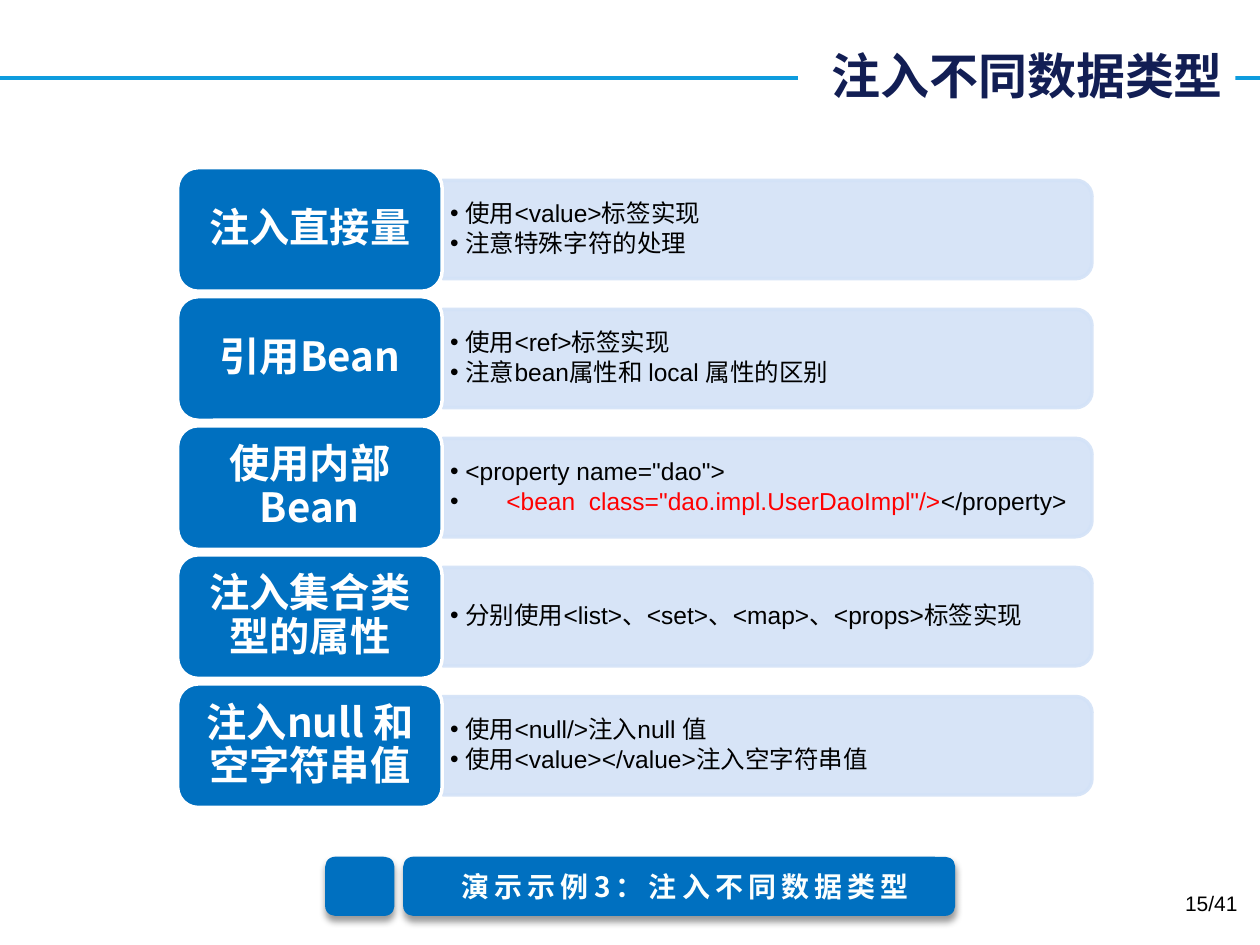
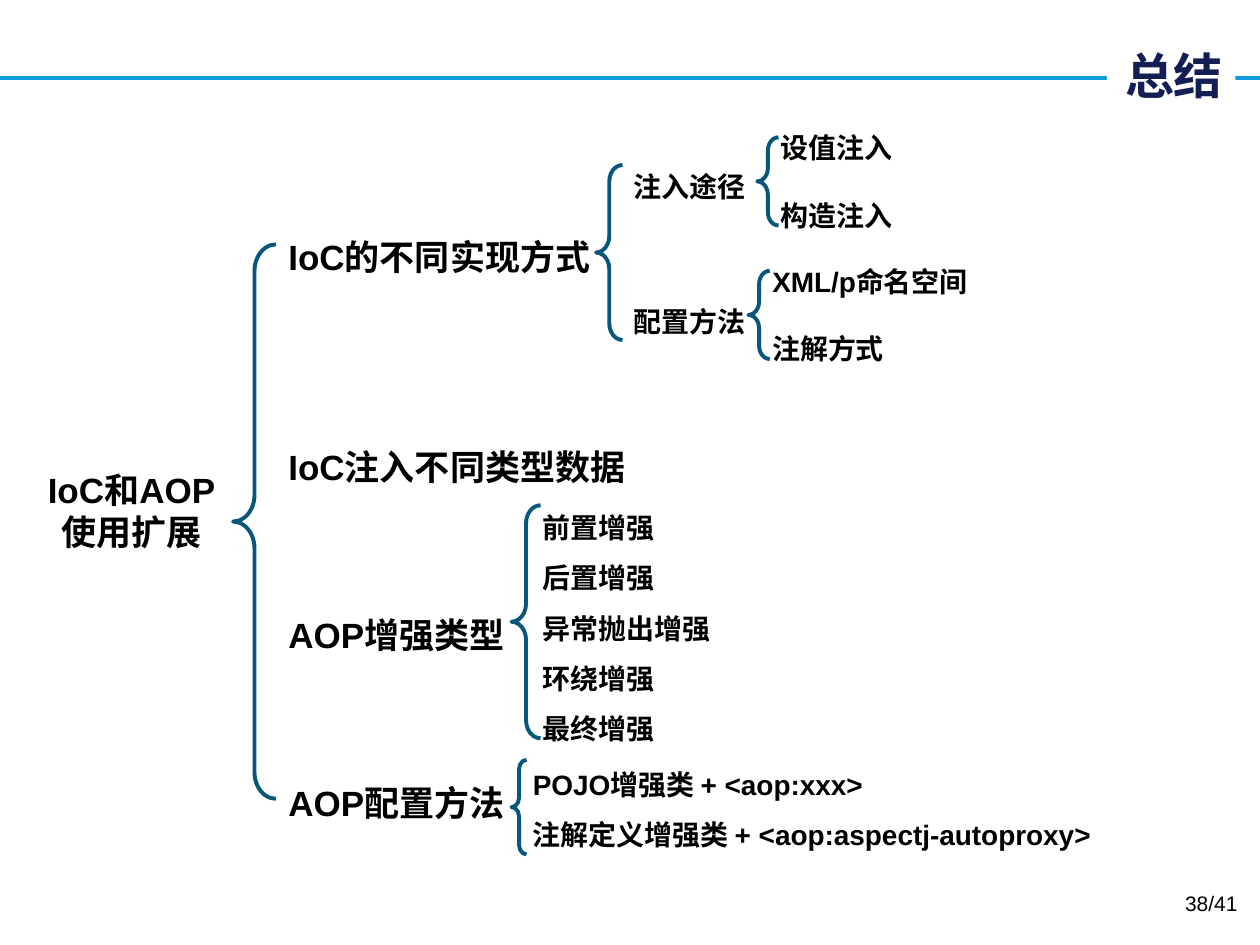
from dataclasses import dataclass

from lxml.etree import SubElement
from pptx import Presentation
from pptx.dml.color import RGBColor
from pptx.enum.shapes import MSO_CONNECTOR as Connector
from pptx.enum.shapes import MSO_SHAPE as Preset
from pptx.enum.text import MSO_ANCHOR as Anchor
from pptx.enum.text import MSO_AUTO_SIZE as AutoSize
from pptx.enum.text import PP_ALIGN as Align
from pptx.oxml.ns import qn
from pptx.util import Pt

COLORS = {
    "white": "FFFFFF", "black": "000000", "red": "FF0000", "rule": "0E9CDE",
    "title": "121E54", "blue": "0070C0", "pale": "D3E2F7", "banner": "FBFFFE",
    "brace": "08577A",
}
HEAD_FONT = "Noto Sans CJK SC"
BODY_FONT = "Arial"
TITLE_RIGHT = 706
LABEL_LEFT, LABEL_TOP, LABEL_WIDTH, LABEL_HEIGHT = 101.5, 95.8, 151.2, 70.6
ROW_PITCH = 73.75
BAR_LEFT, BAR_WIDTH, BAR_HEIGHT = 253, 371, 56.2
BANNER_TOP, BANNER_HEIGHT = 489.6, 33.8


@dataclass(frozen=True)
class Area:
    left: float
    top: float
    width: float
    height: float

    def lengths(self) -> tuple:
        return Pt(self.left), Pt(self.top), Pt(self.width), Pt(self.height)


@dataclass(frozen=True)
class Topic:
    label: str
    points: tuple


@dataclass(frozen=True)
class Branch:
    area: Area
    lines: tuple
    size: float = 16
    gaps: tuple = ()
    spacing: float = 1
    align: Align = Align.LEFT


TOPICS = (
    Topic("注入直接量", ("使用<value>标签实现", "注意特殊字符的处理")),
    Topic("引用Bean", ("使用<ref>标签实现", "注意bean属性和 local 属性的区别")),
    Topic("使用内部Bean", (
        '<property name="dao">',
        (("      ", "black"),
         ('<bean  class="dao.impl.UserDaoImpl"/>', "red"),
         ("</property>", "black")),
    )),
    Topic("注入集合类型的属性", ("分别使用<list>、<set>、<map>、<props>标签实现",)),
    Topic("注入null 和空字符串值", (
        "使用<null/>注入null 值", "使用<value></value>注入空字符串值")),
)

BRANCHES = (
    Branch(Area(11.5, 264.2, 127.4, 55.4), ("IoC和AOP使用扩展",), 20, align=Align.CENTER),
    Branch(Area(157.7, 131, 394.6, 346),
           ("IoC的不同实现方式", "IoC注入不同类型数据", "AOP增强类型", "AOP配置方法"),
           20, gaps=(0, 96, 72, 72)),
    Branch(Area(355, 93.6, 314.6, 104.4), ("注入途径", "配置方法"), gaps=(0, 57.6)),
    Branch(Area(439.2, 71.3, 100, 65.5), ("设值注入", "构造注入"), gaps=(0, 19.2)),
    Branch(Area(434.2, 147.6, 135.4, 65.5), ("XML/p命名空间", "注解方式"), gaps=(0, 19.2)),
    Branch(Area(303.1, 278.6, 328.3, 149),
           ("前置增强", "后置增强", "异常抛出增强", "环绕增强", "最终增强"), spacing=1.5),
    Branch(Area(297.4, 425.5, 380.2, 65.5),
           ("POJO增强类 + <aop:xxx>", "注解定义增强类 + <aop:aspectj-autoproxy>"), spacing=1.5),
)

BRACES = (
    Area(133.2, 139.7, 24.5, 316.8),
    Area(340.6, 94.3, 15.1, 100),
    Area(432.7, 78.5, 12.2, 50.4),
    Area(427.7, 154.8, 12.2, 50.4),
    Area(292.3, 288.7, 16.6, 133.2),
    Area(292.3, 434.2, 8.6, 54),
)


def color(name: str) -> RGBColor:
    return RGBColor.from_string(COLORS[name])


def add_bullet(para) -> None:
    properties = para._p.get_or_add_pPr()
    properties.set("marL", str(Pt(8.64)))
    properties.set("indent", str(-Pt(8.64)))
    SubElement(properties, qn("a:buFont"), typeface="Arial")
    SubElement(properties, qn("a:buChar"), char="•")


def write(frame, lines, *, size, font=BODY_FONT, tint="black", bold=False,
          align=Align.LEFT, anchor=Anchor.TOP, spacing=1, after=0, gaps=(),
          bullet=False, tracking=0, wrap=True) -> None:
    frame.word_wrap = wrap
    frame.auto_size = AutoSize.NONE
    frame.vertical_anchor = anchor
    for index, line in enumerate(lines):
        para = frame.add_paragraph() if index else frame.paragraphs[0]
        if bullet:
            add_bullet(para)
        para.alignment = align
        para.line_spacing = spacing
        para.space_before = Pt(gaps[index] if gaps else 0)
        para.space_after = Pt(after)
        spans = ((line, tint),) if isinstance(line, str) else line
        for text, span_tint in spans:
            span = para.add_run()
            span.text = text
            span.font.size = Pt(size)
            span.font.bold = bold
            span.font.name = font
            span.font.color.rgb = color(span_tint)
            properties = span._r.get_or_add_rPr()
            SubElement(properties, qn("a:ea"), typeface=HEAD_FONT)
            if tracking:
                properties.set("spc", str(tracking * 100))


def add_text(page, area: Area, lines, **text_format):
    box = page.shapes.add_textbox(*area.lengths())
    write(box.text_frame, lines, **text_format)
    return box


def add_block(page, preset, area: Area, fill=None, line=None, weight=2):
    block = page.shapes.add_shape(preset, *area.lengths())
    block.shadow.inherit = False
    if fill:
        block.fill.solid()
        block.fill.fore_color.rgb = color(fill)
    else:
        block.fill.background()
    if line:
        block.line.color.rgb = color(line)
        block.line.width = Pt(weight)
    else:
        block.line.fill.background()
    return block


def add_page(deck, title: str, title_width: float, number: str):
    page = deck.slides.add_slide(deck.slide_layouts[5])
    rule = page.shapes.add_connector(Connector.STRAIGHT, 0, Pt(44.6), Pt(720), Pt(44.6))
    rule.line.color.rgb = color("rule")
    rule.line.width = Pt(2.25)
    SubElement(rule._element.spPr, qn("a:effectLst"))
    heading = page.shapes.title
    heading._element.addprevious(rule._element)
    area = Area(TITLE_RIGHT - title_width, 22.3, title_width, 41)
    heading.left, heading.top, heading.width, heading.height = area.lengths()
    heading.fill.solid()
    heading.fill.fore_color.rgb = color("white")
    write(heading.text_frame, (title,), size=28, font=HEAD_FONT, tint="title",
          bold=True, align=Align.RIGHT, anchor=Anchor.MIDDLE)
    add_text(page, Area(546.5, 505.4, 167.8, 28.8), (number,), size=12, align=Align.RIGHT)
    return page


def add_topic(page, topic: Topic, top: float) -> None:
    middle = top + LABEL_HEIGHT / 2
    bar_center = BAR_LEFT + BAR_WIDTH / 2
    bar = add_block(page, Preset.ROUND_2_SAME_RECTANGLE,
                    Area(bar_center - BAR_HEIGHT / 2, middle - BAR_WIDTH / 2,
                         BAR_HEIGHT, BAR_WIDTH), "pale", "pale")
    bar.rotation = 90
    for tone in bar._element.spPr.iter(qn("a:srgbClr")):
        SubElement(tone, qn("a:alpha"), val="90000")
    box = add_text(page, Area(BAR_LEFT, middle - 25.2, 368, 50.4), topic.points,
                   size=14, anchor=Anchor.MIDDLE, spacing=0.9, after=2.1, bullet=True)
    frame = box.text_frame
    frame.margin_left = frame.margin_right = Pt(4.3)
    frame.margin_top = frame.margin_bottom = Pt(2.2)
    label = add_block(page, Preset.ROUNDED_RECTANGLE,
                      Area(LABEL_LEFT, top, LABEL_WIDTH, LABEL_HEIGHT), "blue", "white")
    write(label.text_frame, (topic.label,), size=23, font=HEAD_FONT, tint="white",
          bold=True, align=Align.CENTER, anchor=Anchor.MIDDLE, spacing=0.9)


def add_banner_block(page, left: float, width: float):
    block = add_block(page, Preset.ROUNDED_RECTANGLE,
                      Area(left, BANNER_TOP, width, BANNER_HEIGHT), "blue")
    effects = block._element.spPr.find(qn("a:effectLst"))
    shadow = SubElement(effects, qn("a:outerShdw"), blurRad=str(Pt(4)),
                        dist=str(Pt(3)), dir="5400000", rotWithShape="0")
    tone = SubElement(shadow, qn("a:srgbClr"), val=COLORS["black"])
    SubElement(tone, qn("a:alpha"), val="40000")
    return block


def build_types_page(deck) -> None:
    page = add_page(deck, "注入不同数据类型", 250, "15/41")
    for index, topic in enumerate(TOPICS):
        add_topic(page, topic, LABEL_TOP + index * ROW_PITCH)
    add_banner_block(page, 185.8, 39.6)
    banner = add_banner_block(page, 230.4, 315.4)
    write(banner.text_frame, ("演示示例3：注入不同数据类型",), size=16, font=HEAD_FONT,
          tint="banner", bold=True, align=Align.CENTER, anchor=Anchor.MIDDLE,
          tracking=3, wrap=False)
    banner.text_frame.margin_left = Pt(14)


def build_summary_page(deck) -> None:
    page = add_page(deck, "总结", 73.5, "38/41")
    for branch in BRANCHES:
        add_text(page, branch.area, branch.lines, size=branch.size, bold=True,
                 gaps=branch.gaps, spacing=branch.spacing, align=branch.align)
    for area in BRACES:
        brace = add_block(page, Preset.LEFT_BRACE, area, line="brace", weight=2.25)
        brace.adjustments[0] = 0.62


def main() -> None:
    deck = Presentation()
    deck.slide_width, deck.slide_height = Pt(720), Pt(540)
    build_types_page(deck)
    build_summary_page(deck)
    deck.save("out.pptx")


if __name__ == "__main__":
    main()
